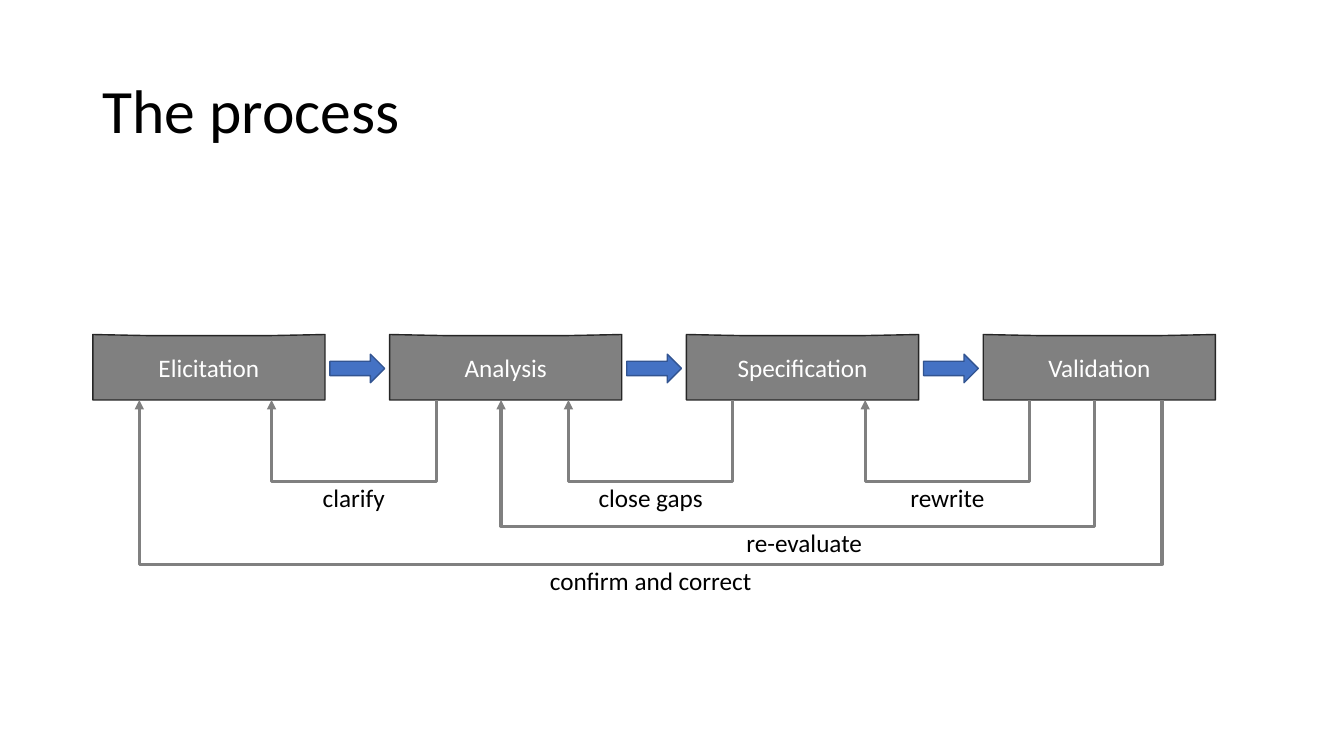
from pptx import Presentation
from pptx.dml.color import RGBColor
from pptx.enum.shapes import MSO_SHAPE
from pptx.enum.text import MSO_ANCHOR, PP_ALIGN
from pptx.oxml.ns import qn
from pptx.util import Cm, Pt
from lxml.etree import SubElement

HUES = {"ink": "000000", "paper": "FFFFFF", "box": "808080", "edge": "262626",
        "arrow": "4472C4", "rim": "325491", "loop": "808080"}
STEPS = ["Elicitation", "Analysis", "Specification", "Validation"]
LEFT, TOP, WIDE, HIGH, PITCH = 2.34, 8.43, 5.85, 1.65, 7.48
BASE = TOP + HIGH
# Loop ports along the lower side of a step, as shares of its width
NEAR, MID, FAR = 0.2, 0.48, 0.77
# Label, label width, label shift, (from step, port), (to step, port), depth
LOOPS = [
    ("confirm and correct", 5.97, 0, (3, FAR), (0, NEAR), 4.14),
    ("re-evaluate", 3.58, 0.16, (3, MID), (1, MID), 3.18),
    ("rewrite", 2.9, 0, (3, NEAR), (2, FAR), 2.06),
    ("close gaps", 3.63, 0, (2, NEAR), (1, FAR), 2.06),
    ("clarify", 2.95, 0, (1, NEAR), (0, FAR), 2.06),
]


def hue(name):
    return RGBColor.from_string(HUES[name])


def write(shape, text, color, size=18, align=PP_ALIGN.CENTER, anchor=MSO_ANCHOR.MIDDLE):
    frame = shape.text_frame
    frame.word_wrap = True
    frame.vertical_anchor = anchor
    para = frame.paragraphs[0]
    para.text = text
    para.alignment = align
    para.font.name = "Calibri"
    para.font.size = Pt(size)
    para.font.color.rgb = hue(color)
    return para


def paint(shape, fill, line, width=1):
    shape.shadow.inherit = False
    if fill:
        shape.fill.solid()
        shape.fill.fore_color.rgb = hue(fill)
    else:
        shape.fill.background()
    shape.line.color.rgb = hue(line)
    shape.line.width = Pt(width)


def trace(slide, points, close):
    spots = [(Cm(x), Cm(y)) for x, y in points]
    pen = slide.shapes.build_freeform(*spots[0])
    pen.add_line_segments(spots[1:], close=close)
    return pen.convert_to_shape()


def title(slide, text, left, top, wide, high):
    box = slide.shapes.add_textbox(Cm(left), Cm(top), Cm(wide), Cm(high))
    write(box, text, "ink", 44, PP_ALIGN.LEFT).line_spacing = 0.9


def step(slide, text, left, top, wide, high):
    # Box with a slightly sunken upper edge
    right, low, dip = left + wide, top + high, top + 0.03
    box = trace(slide, [(left, top), (left + wide / 4, dip), (right - wide / 4, dip),
                        (right, top), (right, low), (left, low)], True)
    paint(box, "box", "edge")
    write(box, text, "paper")


def arrow(slide, left, top, wide, high):
    # Block arrow centred in the gap between two steps
    span, tall = 1.38, 0.72
    shape = slide.shapes.add_shape(
        MSO_SHAPE.RIGHT_ARROW, Cm(left + (wide - span) / 2),
        Cm(top + (high - tall) / 2 + 0.03), Cm(span), Cm(tall))
    paint(shape, "arrow", "rim")


def port(place):
    index, share = place
    return LEFT + index * PITCH + share * WIDE


def loop(slide, start, end, top, depth):
    # Return path that drops, runs back and rises to an arrowhead
    low = top + depth
    line = trace(slide, [(start, top), (start, low), (end, low), (end, top)], False)
    paint(line, None, "loop", 2.25)
    SubElement(line.line._get_or_add_ln(), qn("a:tailEnd"), type="triangle")


def label(slide, text, mid, top, wide):
    box = slide.shapes.add_textbox(Cm(mid - wide / 2), Cm(top), Cm(wide), Cm(1.03))
    write(box, text, "ink", anchor=MSO_ANCHOR.TOP)


def main():
    deck = Presentation()
    deck.slide_width, deck.slide_height = Cm(33.87), Cm(19.05)
    slide = deck.slides.add_slide(deck.slide_layouts[6])
    title(slide, "The process", 2.33, 1.01, 29.21, 3.68)

    # Steps
    for index, name in enumerate(STEPS):
        step(slide, name, LEFT + index * PITCH, TOP, WIDE, HIGH)

    # Return loops and their labels
    for text, wide, shift, source, target, depth in LOOPS:
        start, end = port(source), port(target)
        loop(slide, start, end, BASE, depth)
        label(slide, text, (start + end) / 2 + shift, BASE + depth - 0.1, wide)

    # Forward arrows
    for index in range(len(STEPS) - 1):
        arrow(slide, LEFT + index * PITCH + WIDE, TOP, PITCH - WIDE, HIGH)

    deck.save("out.pptx")


if __name__ == "__main__":
    main()
